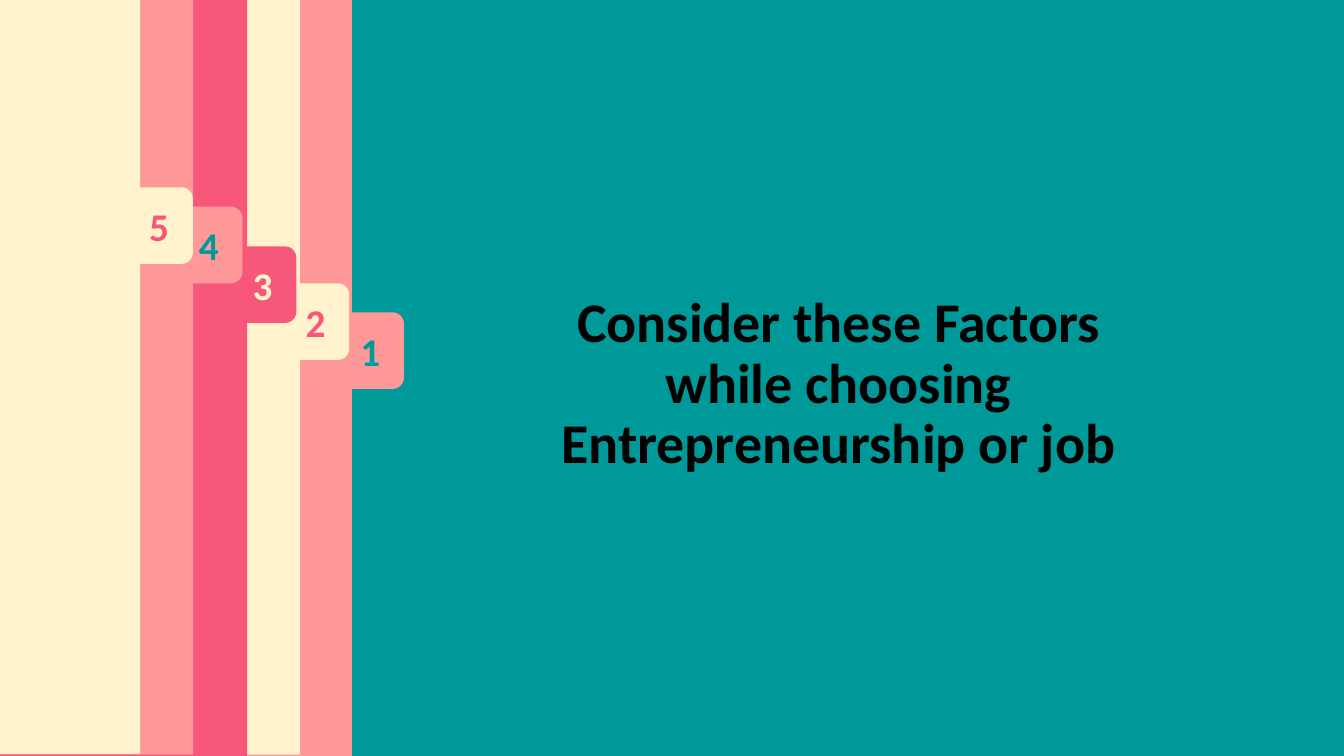
from dataclasses import dataclass

import pptx
import pptx.dml.color
import pptx.enum.shapes
import pptx.enum.text
import pptx.util
from pptx.enum.shapes import MSO_SHAPE
from pptx.util import Cm

TEAL = "009999"
SALMON = "FF9999"
CREAM = "FFF2CC"
ROSE = "F75779"
BLACK = "000000"

SLIDE_WIDTH, SLIDE_HEIGHT = 33.87, 19.05
PANEL_WIDTH = 31.4
TAB_WIDTH, TAB_HEIGHT = 1.7, 1.93


@dataclass(frozen=True)
class Divider:
    """A full-height panel bleeding off the left edge, with a numbered tab (cm)."""
    number: str
    panel_right: float
    panel_top: float
    tab_left: float
    tab_top: float
    fill: str
    number_color: str


DIVIDERS = [
    Divider("1", 8.87, 0, 8.48, 7.87, SALMON, TEAL),
    Divider("2", 7.56, -0.03, 7.1, 7.14, CREAM, ROSE),
    Divider("3", 6.23, 0, 5.77, 6.21, ROSE, CREAM),
    Divider("4", 4.87, -0.03, 4.41, 5.21, SALMON, TEAL),
    Divider("5", 3.53, -0.05, 3.16, 4.72, CREAM, ROSE),
]


def rgb(color: str) -> pptx.dml.color.RGBColor:
    return pptx.dml.color.RGBColor.from_string(color)


def write(frame, text: str, size: float, color: str):
    """Put one bold centred paragraph in the frame and return it."""
    frame.text = text
    paragraph = frame.paragraphs[0]
    paragraph.alignment = pptx.enum.text.PP_ALIGN.CENTER
    font = paragraph.font
    font.name, font.size, font.bold = "Calibri", pptx.util.Pt(size), True
    font.color.rgb = rgb(color)
    return paragraph


def add_filled(slide, kind: MSO_SHAPE, left: float, top: float,
               width: float, height: float, fill: str):
    shape = slide.shapes.add_shape(kind, Cm(left), Cm(top), Cm(width), Cm(height))
    shape.shadow.inherit = False
    shape.fill.solid()
    shape.fill.fore_color.rgb = rgb(fill)
    shape.line.fill.background()
    return shape


def add_divider(slide, divider: Divider) -> None:
    tab = add_filled(slide, MSO_SHAPE.ROUNDED_RECTANGLE, divider.tab_left,
                     divider.tab_top, TAB_WIDTH, TAB_HEIGHT, divider.fill)
    tab.text_frame.vertical_anchor = pptx.enum.text.MSO_ANCHOR.MIDDLE
    write(tab.text_frame, divider.number, 28, divider.number_color)
    add_filled(slide, MSO_SHAPE.RECTANGLE, divider.panel_right - PANEL_WIDTH,
               divider.panel_top, PANEL_WIDTH, SLIDE_HEIGHT, divider.fill)


def add_title(slide) -> None:
    title = slide.shapes.title
    title.left, title.top = Cm(13.23), Cm(7.14)
    title.width, title.height = Cm(15.8), Cm(4.98)
    frame = title.text_frame
    frame.word_wrap = True
    frame.auto_size = pptx.enum.text.MSO_AUTO_SIZE.NONE
    frame.vertical_anchor = pptx.enum.text.MSO_ANCHOR.BOTTOM
    heading = write(frame, "Consider these Factors while choosing "
                    "Entrepreneurship or job", 40, BLACK)
    heading.line_spacing = 0.9


def main() -> None:
    presentation = pptx.Presentation()
    presentation.slide_width = Cm(SLIDE_WIDTH)
    presentation.slide_height = Cm(SLIDE_HEIGHT)
    slide = presentation.slides.add_slide(presentation.slide_layouts[5])
    slide.background.fill.solid()
    slide.background.fill.fore_color.rgb = rgb(TEAL)
    add_title(slide)
    for divider in DIVIDERS:
        add_divider(slide, divider)
    presentation.save("out.pptx")


if __name__ == "__main__":
    main()
